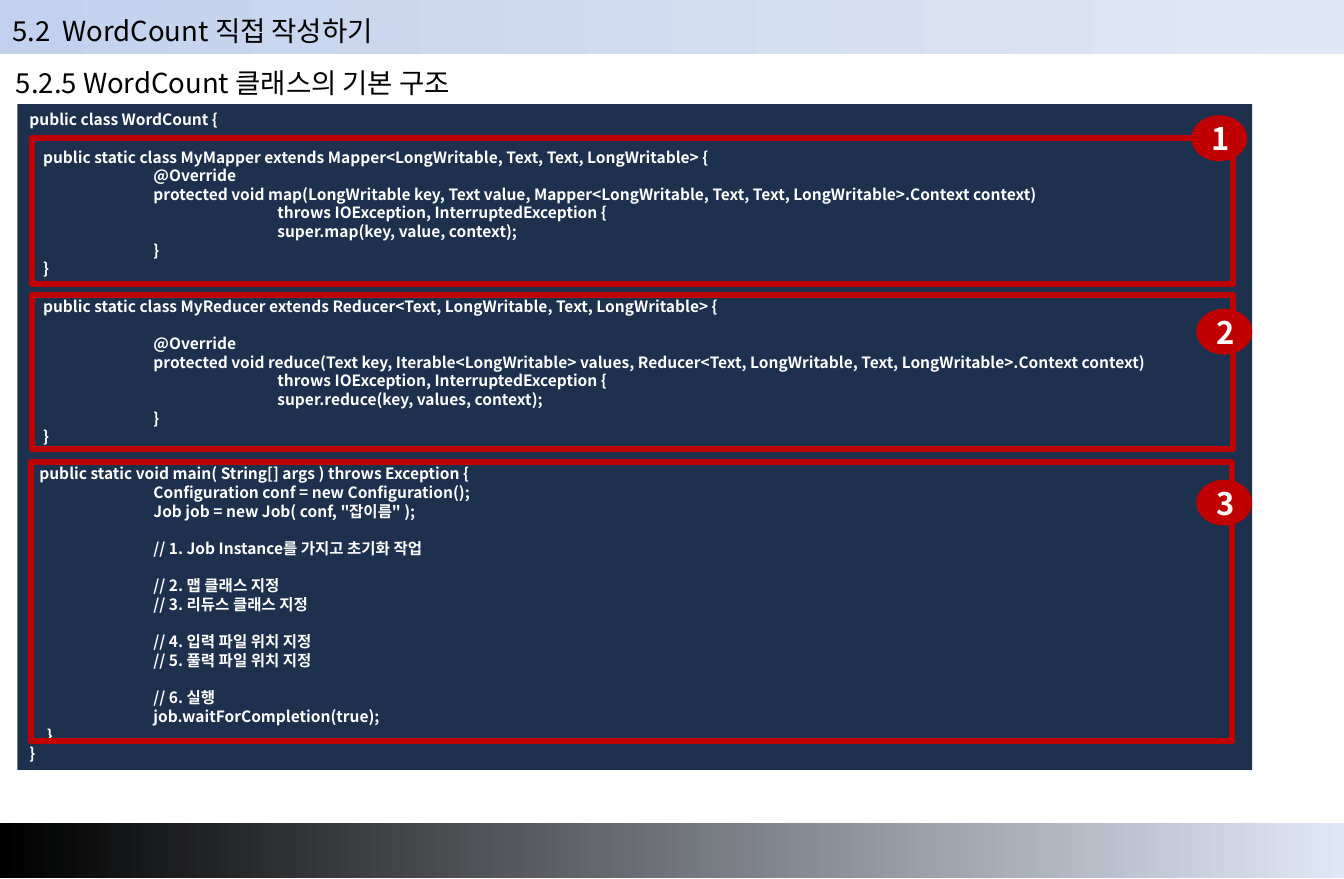
from dataclasses import dataclass

from lxml.etree import SubElement
from pptx import Presentation
from pptx.dml.color import RGBColor
from pptx.enum.shapes import MSO_SHAPE
from pptx.enum.text import MSO_ANCHOR, PP_ALIGN
from pptx.oxml.ns import qn
from pptx.util import Inches, Pt


@dataclass(frozen=True)
class Theme:
    """Colours, font and type sizes of the slide."""
    font: str = "Noto Sans CJK KR"
    ink: str = "000000"
    paper: str = "FFFFFF"
    panel: str = "1D314E"
    accent: str = "C00000"
    band_light: str = "C2D1ED"
    band_end: str = "E1E8F5"
    heading_size: float = 16
    heading_pitch: float = 20.85
    code_size: float = 9
    code_pitch: float = 10.83
    badge_size: float = 18
    frame_line: float = 3.5


@dataclass(frozen=True)
class Box:
    """A rectangle whose inner areas are given in percent of its size."""
    left: float
    top: float
    width: float
    height: float

    def inner(self, left, top, width, height):
        """Return the box at the given percentages of this one."""
        return Box(self.left + self.width * left / 100,
                   self.top + self.height * top / 100,
                   self.width * width / 100,
                   self.height * height / 100)

    def emu(self):
        """Return the position and size as slide lengths."""
        return [Inches(v) for v in (self.left, self.top, self.width, self.height)]


THEME = Theme()
SLIDE = Box(0, 0, 10.84, 7.09)
MEMBER, MAIN, MAIN_END, BODY, DEEP = 0.11, 0.08, 0.14, 1, 2

CODE = [
    (0, 0, "public class WordCount {"),
    (1, MEMBER, "public static class MyMapper extends Mapper<LongWritable, Text, Text, LongWritable> {"),
    (0, BODY, "@Override"),
    (0, BODY, "protected void map(LongWritable key, Text value, "
              "Mapper<LongWritable, Text, Text, LongWritable>.Context context)"),
    (0, DEEP, "throws IOException, InterruptedException {"),
    (0, DEEP, "super.map(key, value, context);"),
    (0, BODY, "}"),
    (0, MEMBER, "}"),
    (1, MEMBER, "public static class MyReducer extends Reducer<Text, LongWritable, Text, LongWritable> {"),
    (1, BODY, "@Override"),
    (0, BODY, "protected void reduce(Text key, Iterable<LongWritable> values, "
              "Reducer<Text, LongWritable, Text, LongWritable>.Context context)"),
    (0, DEEP, "throws IOException, InterruptedException {"),
    (0, DEEP, "super.reduce(key, values, context);"),
    (0, BODY, "}"),
    (0, MEMBER, "}"),
    (1, MAIN, "public static void main( String[] args ) throws Exception {"),
    (0, BODY, "Configuration conf = new Configuration();"),
    (0, BODY, "Job job = new Job( conf, \"잡이름\" );"),
    (1, BODY, "// 1. Job Instance를 가지고 초기화 작업"),
    (1, BODY, "// 2. 맵 클래스 지정"),
    (0, BODY, "// 3. 리듀스 클래스 지정"),
    (1, BODY, "// 4. 입력 파일 위치 지정"),
    (0, BODY, "// 5. 풀력 파일 위치 지정"),
    (1, BODY, "// 6. 실행"),
    (0, BODY, "job.waitForCompletion(true);"),
    (0, MAIN_END, "}"),
    (0, 0, "}"),
]

SECTIONS = [
    ("1", (1.2, 5.03, 97.29, 21.97), (95.08, 1.68)),
    ("2", (1.2, 28.68, 97.29, 23.09), (95.48, 30.73)),
    ("3", (1.1, 53.82, 97.29, 41.9), (95.48, 56.42)),
]
BADGE_SIZE = (4.52, 6.89)


def rgb(colour):
    """Turn a hex string into a colour."""
    return RGBColor.from_string(colour)


def add_run(paragraph, text, size, colour, bold=False):
    """Add a run in the theme font for Latin and Korean letters."""
    run = paragraph.add_run()
    run.text = text
    run.font.size = Pt(size)
    run.font.bold = bold
    run.font.color.rgb = rgb(colour)
    run.font.name = THEME.font
    SubElement(run.font._element, qn("a:ea")).set("typeface", THEME.font)


def add_figure(slide, preset, box, fill=None, line=None):
    """Add a preset shape with an optional solid fill and outline."""
    figure = slide.shapes.add_shape(preset, *box.emu())
    figure.shadow.inherit = False
    if fill:
        figure.fill.solid()
        figure.fill.fore_color.rgb = rgb(fill)
    else:
        figure.fill.background()
    if line:
        figure.line.color.rgb = rgb(line)
        figure.line.width = Pt(THEME.frame_line)
    else:
        figure.line.fill.background()
    return figure


def add_band(slide, box, start):
    """Add a band that fades from left to right."""
    band = add_figure(slide, MSO_SHAPE.RECTANGLE, box)
    band.fill.gradient()
    band.fill.gradient_angle = 0
    for stop, colour in zip(band.fill.gradient_stops, (start, THEME.band_end)):
        stop.color.rgb = rgb(colour)


def add_heading(slide, box, text, wrap):
    """Add a one-line heading."""
    frame = slide.shapes.add_textbox(*box.emu()).text_frame
    frame.word_wrap = wrap
    heading = frame.paragraphs[0]
    heading.line_spacing = Pt(THEME.heading_pitch)
    add_run(heading, text, THEME.heading_size, THEME.ink)


def add_code(slide, box):
    """Add the panel with the indented class listing."""
    panel = add_figure(slide, MSO_SHAPE.RECTANGLE, box, THEME.panel)
    frame = panel.text_frame
    frame.word_wrap = True
    frame.vertical_anchor = MSO_ANCHOR.TOP
    for number, (skipped, indent, text) in enumerate(CODE):
        line = frame.add_paragraph() if number else frame.paragraphs[0]
        line.alignment = PP_ALIGN.LEFT
        line.line_spacing = Pt(THEME.code_pitch)
        line.space_before = Pt(THEME.code_pitch * skipped)
        line._p.get_or_add_pPr().set("marL", str(Inches(indent)))
        add_run(line, text, THEME.code_size, THEME.paper, bold=True)


def add_badge(slide, box, number):
    """Add a round numbered badge."""
    badge = add_figure(slide, MSO_SHAPE.OVAL, box, THEME.accent)
    badge.text_frame.vertical_anchor = MSO_ANCHOR.MIDDLE
    label = badge.text_frame.paragraphs[0]
    label.alignment = PP_ALIGN.CENTER
    add_run(label, number, THEME.badge_size, THEME.paper, bold=True)


def add_sections(slide, box):
    """Outline the sections of the listing and number them."""
    for _, outline, _ in SECTIONS:
        add_figure(slide, MSO_SHAPE.RECTANGLE, box.inner(*outline), line=THEME.accent)
    for number, _, corner in SECTIONS:
        add_badge(slide, box.inner(*corner, *BADGE_SIZE), number)


def main():
    """Build the slide and save it."""
    deck = Presentation()
    deck.slide_width, deck.slide_height = SLIDE.emu()[2:]
    slide = deck.slides.add_slide(deck.slide_layouts[6])
    add_band(slide, SLIDE.inner(0, 0, 100, 6.21), THEME.band_light)
    add_band(slide, SLIDE.inner(0, 93.65, 100, 6.21), THEME.ink)
    add_heading(slide, SLIDE.inner(0.28, 6.49, 36.25, 5.22), "5.2.5 WordCount 클래스의 기본 구조", False)
    add_heading(slide, SLIDE.inner(0, 0.56, 99.8, 5.22), "5.2  WordCount 직접 작성하기", True)
    listing = SLIDE.inner(1.29, 11.85, 91.88, 75.74)
    add_code(slide, listing)
    add_sections(slide, listing)
    deck.save("out.pptx")


if __name__ == "__main__":
    main()
